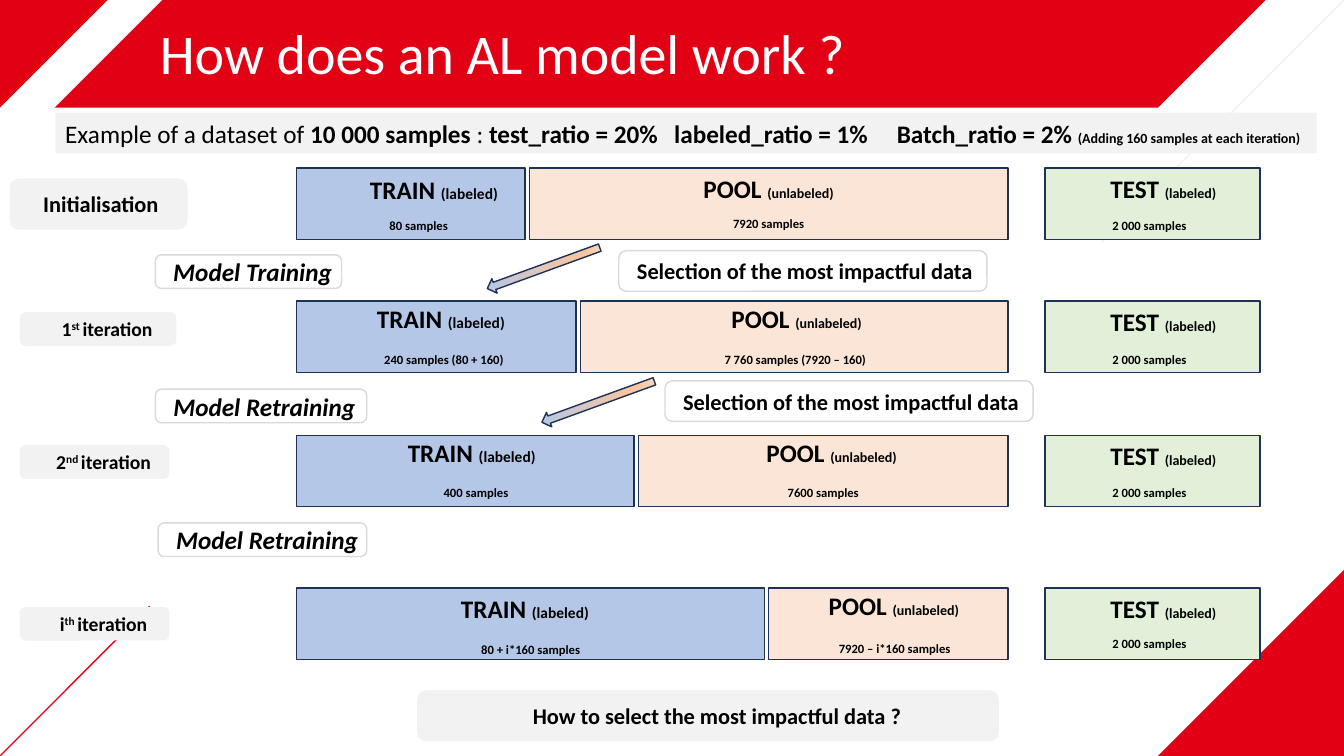
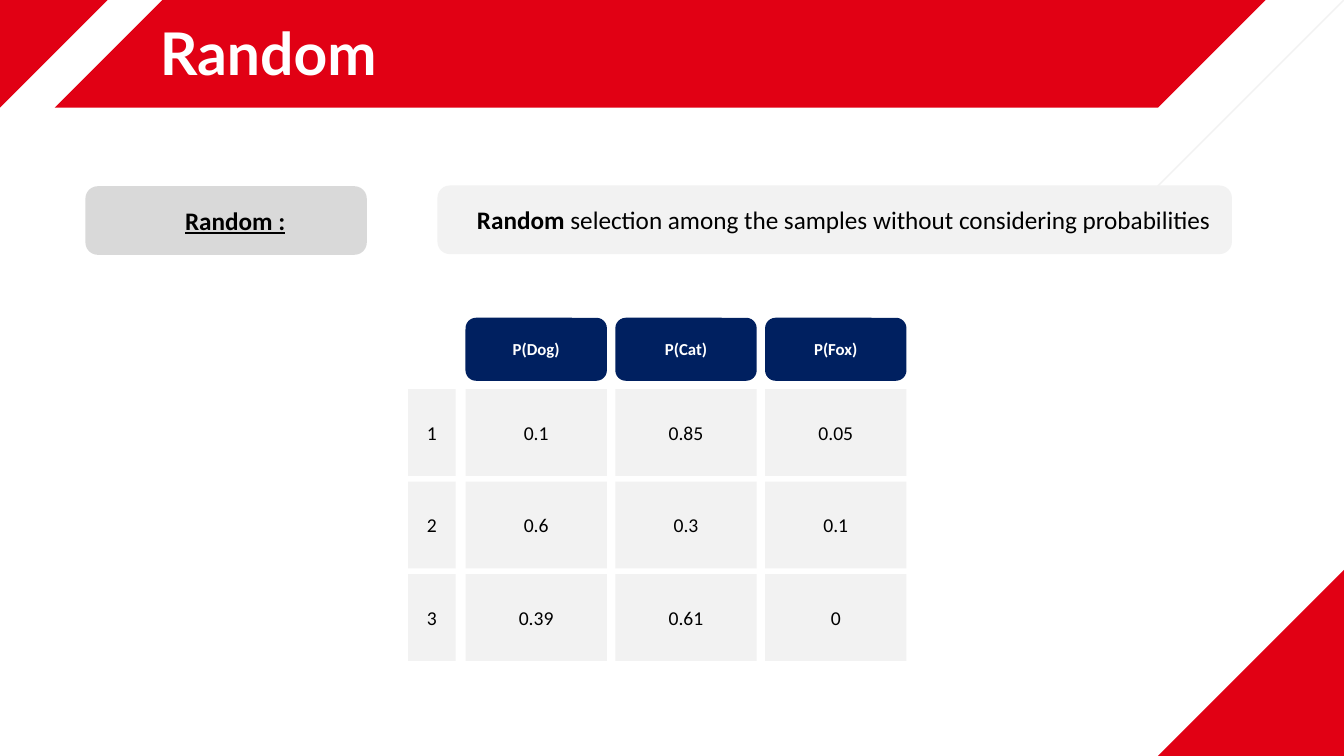
"""Build two slides that explain active learning and random selection."""
import dataclasses

import pptx
import pptx.dml.color
import pptx.enum.shapes
import pptx.enum.text
import pptx.oxml.ns
import pptx.util
from lxml import etree

Pt = pptx.util.Pt
SHAPE = pptx.enum.shapes.MSO_SHAPE
ALIGN = pptx.enum.text.PP_ALIGN
ANCHOR = pptx.enum.text.MSO_ANCHOR
qn = pptx.oxml.ns.qn


@dataclasses.dataclass(frozen=True)
class Theme:
    font: str = "Calibri"
    accent_font: str = "Lato"
    red: str = "E10014"
    navy: str = "002060"
    outline: str = "1E3256"
    black: str = "000000"
    white: str = "FFFFFF"
    pale: str = "F2F2F2"
    grey: str = "D9D9D9"
    train: str = "B4C7E7"
    pool: str = "FBE5D6"
    test: str = "E2F0D9"
    arrow_stops: tuple = ((0, "B4C7E7"), (74, "F7C5A2"), (83, "F7C5A2"), (100, "FAD8C1"))
    title: int = 40
    accent_title: int = 42
    heading: int = 18
    label: int = 16
    body: int = 14
    header: int = 12
    train_tag: int = 11
    tag: int = 10
    note: int = 9
    corner: float = 0.18


THEME = Theme()
WIDTH, HEIGHT = 960, 540
BAND_HEIGHT = 77
CORNER_SIZE = 133
PILL_INSETS = (22, 0, 9, 0)
TEXT_INSETS = (7.2, 3.6, 7.2, 3.6)

SUMMARY = [
    ("Example of a dataset of ", {}),
    ("10 000 samples ", {"bold": True}),
    (": ", {}),
    ("test_ratio = 20%\tlabeled_ratio = 1%\tBatch_ratio = 2% ", {"bold": True}),
    ("(Adding 160 samples at each iteration)", {"bold": True, "size": THEME.tag}),
]
SUMMARY_TABS = (435, 594)

BAR_LEFT, BAR_RIGHT, BAR_HEIGHT, BAR_GAP = 212, 720, 51, 3
TEST_LEFT, TEST_WIDTH = 746.5, 153.5
TEST_LABEL_CENTER, TEST_NOTE_CENTER = 831, 821
TEST_NOTE = "2 000 samples"
# Each text is (wording, centre, offset below the top of its bar).
ROWS = [
    {"top": 120, "train_width": 163,
     "train": ((310, 1), ("80 samples", 299, 32)),
     "pool": ((549, 0), ("7920 samples", 549, 31)), "test_note": 32},
    {"top": 215, "train_width": 199.5,
     "train": ((315, -2), ("240 samples (80 + 160)", 317, 33)),
     "pool": ((569, -2), ("7 760 samples (7920 – 160)", 568, 33)), "test_note": 33},
    {"top": 311, "train_width": 241,
     "train": ((337, -2), ("400 samples", 340, 32)),
     "pool": ((594, -2), ("7600 samples", 588, 32)), "test_note": 32},
    {"top": 420, "train_width": 334,
     "train": ((375, 0), ("80 + i*160 samples", 379, 35)),
     "pool": ((638.5, -2), ("7920 – i*160 samples", 639, 34)), "test_note": 31},
]
SETS = {
    "train": ("TRAIN ", "(labeled)", THEME.train_tag, THEME.train),
    "pool": ("POOL ", "(unlabeled)", THEME.tag, THEME.pool),
    "test": ("TEST ", "(labeled)", THEME.tag, THEME.test),
}
ITERATIONS = [
    ("1", "st ", (14, 223, 112, 24)),
    ("2", "nd ", (14, 318, 107, 24)),
    ("i", "th ", (14, 433.5, 107, 24)),
]
STEPS = [
    ("Model Training", (111, 182, 133, 24)),
    ("Model Retraining", (111, 278, 151, 24)),
    ("Model Retraining", (113, 373.5, 149, 24)),
]
SELECTION = "Selection of the most impactful data"
SELECTIONS = [(442, 179), (475, 272)]
ARROWS = [(345.5, 186), (384.5, 281.5)]

PROBABILITY_HEADERS = ["P(Dog)", "P(Cat)", "P(Fox)"]
PROBABILITIES = [
    ("1", "0.1", "0.85", "0.05"),
    ("2", "0.6", "0.3", "0.1"),
    ("3", "0.39", "0.61", "0"),
]


def color(value):
    return pptx.dml.color.RGBColor.from_string(value)


def write(shape, runs, align=ALIGN.CENTER, anchor=ANCHOR.MIDDLE, insets=TEXT_INSETS, wrap=True, tabs=(), **common):
    frame = shape.text_frame
    frame.word_wrap = wrap
    frame.vertical_anchor = anchor
    frame.margin_left, frame.margin_top, frame.margin_right, frame.margin_bottom = map(Pt, insets)
    paragraph = frame.paragraphs[0]
    paragraph.alignment = align
    if tabs:
        tab_list = etree.SubElement(paragraph._p.get_or_add_pPr(), qn("a:tabLst"))
        for position in tabs:
            etree.SubElement(tab_list, qn("a:tab"), pos=str(int(Pt(position))), algn="l")
    for text, own in runs:
        style = {"size": THEME.heading, "color": THEME.black, "font": THEME.font, **common, **own}
        run = paragraph.add_run()
        run.text = text
        run.font.name = style["font"]
        run.font.size = Pt(style["size"])
        run.font.color.rgb = color(style["color"])
        run.font.bold = style.get("bold", False)
        run.font.italic = style.get("italic", False)
        run.font.underline = style.get("underline", False)
        if style.get("superscript"):
            run._r.get_or_add_rPr().set("baseline", "30000")
    return paragraph


def add_box(slide, kind, box, fill=None, line=None, corner=None, rotation=0):
    shape = slide.shapes.add_shape(kind, *map(Pt, box))
    shape.shadow.inherit = False
    shape.rotation = rotation
    if corner is not None:
        shape.adjustments[0] = corner
    if fill:
        shape.fill.solid()
        shape.fill.fore_color.rgb = color(fill)
    else:
        shape.fill.background()
    if line:
        shape.line.color.rgb = color(line)
        shape.line.width = Pt(1)
    else:
        shape.line.fill.background()
    return shape


def add_pill(slide, box, runs, fill=THEME.pale, align=ALIGN.CENTER, **style):
    pill = add_box(slide, SHAPE.ROUNDED_RECTANGLE, box, fill, corner=THEME.corner)
    write(pill, runs, align, insets=PILL_INSETS, **style)


def add_outlined_label(slide, box, text, **style):
    label = add_box(slide, SHAPE.ROUNDED_RECTANGLE, box, line=THEME.grey, corner=THEME.corner)
    write(label, [(text, {})], ALIGN.LEFT, insets=(11.5, 0, 0, 0), wrap=False, bold=True, **style)


def add_centered_text(slide, center, top, width, height, runs, **style):
    box = slide.shapes.add_textbox(*map(Pt, (center - width / 2, top, width, height)))
    write(box, runs, anchor=ANCHOR.TOP, bold=True, **style)


def add_line(slide, start, end, line):
    connector = slide.shapes.add_connector(
        pptx.enum.shapes.MSO_CONNECTOR.STRAIGHT, *map(Pt, (*start, *end)))
    connector.line.color.rgb = color(line)
    connector.line.width = Pt(1)
    etree.SubElement(connector.element.spPr, qn("a:effectLst"))
    return connector


def decorate_layout(layout, slide):
    """Draw the shared bands through a slide and move them to its layout."""
    for placeholder in list(layout.placeholders):
        if placeholder.placeholder_format.type != pptx.enum.shapes.PP_PLACEHOLDER.TITLE:
            placeholder.element.getparent().remove(placeholder.element)
    corner_box = (WIDTH - CORNER_SIZE, HEIGHT - CORNER_SIZE, CORNER_SIZE, CORNER_SIZE)
    parts = [
        add_box(slide, SHAPE.RIGHT_TRIANGLE, corner_box, THEME.red, rotation=270),
        add_box(slide, SHAPE.RIGHT_TRIANGLE, (0, 0, BAND_HEIGHT, BAND_HEIGHT), THEME.red, rotation=90),
        add_box(slide, SHAPE.PARALLELOGRAM, (39, 0, 865, BAND_HEIGHT), THEME.red, corner=1.0),
        add_line(slide, (WIDTH, 0), (787, 173), THEME.pale),
    ]
    for part in parts:
        layout.shapes.element.append(part.element)


def set_title(slide, text, **style):
    title = slide.shapes.title
    title.left, title.top, title.width, title.height = map(Pt, (107, 16, 796, 49))
    paragraph = write(title, [(text, {})], ALIGN.LEFT, color=THEME.white, **style)
    paragraph.line_spacing = 0.9


def add_set(slide, name, left, width, top, label_at, note):
    label, tag, tag_size, fill = SETS[name]
    add_box(slide, SHAPE.RECTANGLE, (left, top, width, BAR_HEIGHT), fill, THEME.outline)
    add_centered_text(slide, label_at[0], top + label_at[1], 163, 29,
                      [(label, {}), (tag, {"size": tag_size})])
    text, center, offset = note
    add_centered_text(slide, center, top + offset, 204, 18, [(text, {})], size=THEME.note)


def add_arrow(slide, left, top):
    arrow = add_box(slide, SHAPE.LEFT_ARROW, (left, top, 85.5, 11), line=THEME.outline, rotation=340)
    arrow.fill.gradient()
    arrow.fill.gradient_angle = 350
    stops = arrow.element.spPr.find(".//" + qn("a:gsLst"))
    for stop in list(stops):
        stops.remove(stop)
    for position, value in THEME.arrow_stops:
        stop = etree.SubElement(stops, qn("a:gs"), pos=str(position * 1000))
        etree.SubElement(stop, qn("a:srgbClr"), val=value)


def build_process(slide):
    set_title(slide, "How does an AL model work ?", size=THEME.title)
    add_line(slide, (107, 433), (0, HEIGHT), THEME.red)
    summary = add_box(slide, SHAPE.RECTANGLE, (39.5, 80.5, 901, 29), THEME.pale)
    write(summary, SUMMARY, ALIGN.LEFT, tabs=SUMMARY_TABS)
    for row in ROWS:
        top, train_width = row["top"], row["train_width"]
        pool_left = BAR_LEFT + train_width + BAR_GAP
        add_set(slide, "train", BAR_LEFT, train_width, top, *row["train"])
        add_set(slide, "pool", pool_left, BAR_RIGHT - pool_left, top, *row["pool"])
        add_set(slide, "test", TEST_LEFT, TEST_WIDTH, top, (TEST_LABEL_CENTER, 0),
                (TEST_NOTE, TEST_NOTE_CENTER, row["test_note"]))
    add_pill(slide, (7, 127.5, 127, 36.5), [("Initialisation", {})],
             align=ALIGN.JUSTIFY, size=THEME.label, bold=True)
    for number, suffix, box in ITERATIONS:
        add_pill(slide, box, [(number, {}), (suffix, {"superscript": True}), ("iteration", {})],
                 size=THEME.body, bold=True)
    for text, box in STEPS:
        add_outlined_label(slide, box, text, italic=True)
    for left, top in SELECTIONS:
        add_outlined_label(slide, (left, top, 263, 29), SELECTION, size=THEME.label)
    for left, top in ARROWS:
        add_arrow(slide, left, top)
    add_pill(slide, (298, 493, 415.5, 36.5), [("How to select the most impactful data ?", {})],
             size=THEME.label, bold=True)


def build_random(slide):
    set_title(slide, "Random", size=THEME.accent_title, font=THEME.accent_font, bold=True)
    add_pill(slide, (61, 133, 201, 49), [("Random :", {})], THEME.grey, bold=True, underline=True)
    add_pill(slide, (312.5, 132.5, 567.5, 49), [
        ("Random ", {"bold": True}),
        ("selection among the samples without considering probabilities", {}),
    ])
    index_left, index_width = 291.5, 34
    left, top, width, height, column_step, row_step = 332.5, 278, 101, 62, 107, 66
    for column, text in enumerate(PROBABILITY_HEADERS):
        header = add_box(slide, SHAPE.ROUNDED_RECTANGLE,
                         (left + column * column_step, 227, width, 45), THEME.navy)
        write(header, [(text, {})], size=THEME.header, color=THEME.white, bold=True)
    columns = [(index_left, index_width)]
    columns += [(left + column * column_step, width) for column in range(len(PROBABILITY_HEADERS))]
    for row, values in enumerate(PROBABILITIES):
        for (cell_left, cell_width), text in zip(columns, values):
            cell = add_box(slide, SHAPE.RECTANGLE,
                           (cell_left, top + row * row_step, cell_width, height), THEME.pale)
            write(cell, [(text, {})], size=THEME.body)


def main():
    presentation = pptx.Presentation()
    presentation.slide_width, presentation.slide_height = Pt(WIDTH), Pt(HEIGHT)
    layout = presentation.slide_layouts[5]
    process_slide = presentation.slides.add_slide(layout)
    random_slide = presentation.slides.add_slide(layout)
    decorate_layout(layout, process_slide)
    build_process(process_slide)
    build_random(random_slide)
    presentation.save("out.pptx")


if __name__ == "__main__":
    main()
